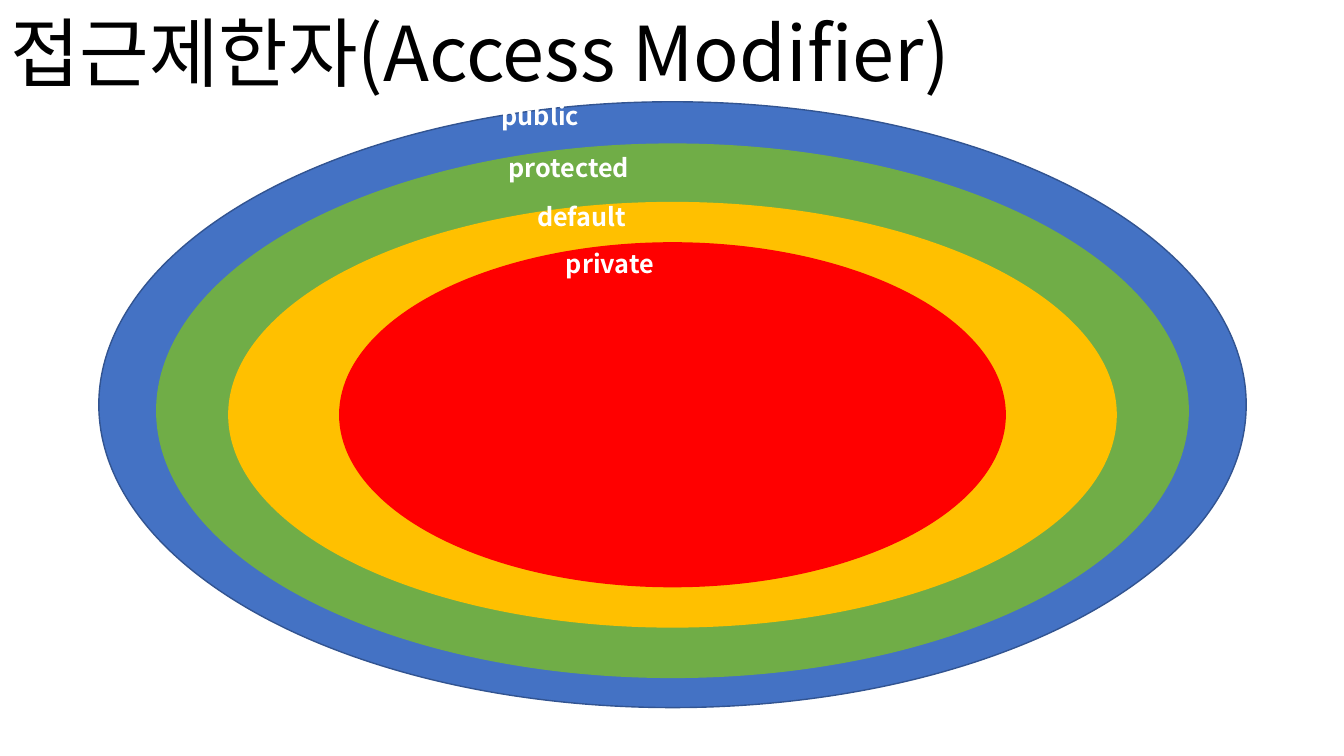
from dataclasses import dataclass

from lxml import etree
from pptx import Presentation
from pptx.dml.color import RGBColor
from pptx.enum import shapes, text
from pptx.oxml import ns
from pptx.util import Inches, Pt


@dataclass(frozen=True)
class Theme:
    font: str = "Noto Sans CJK KR"
    title_size: int = 54
    label_size: int = 18
    title_color: str = "000000"
    label_color: str = "FFFFFF"
    public: str = "4472C4"
    public_line: str = "325491"
    protected: str = "70AD47"
    default: str = "FFC000"
    private: str = "FF0000"


THEME = Theme()
CENTER_X = 6.67
LABEL_W, LABEL_H = 1.6, 0.36


def rgb(color):
    return RGBColor.from_string(color)


def style_text(tf, size, color, bold, align):
    tf.margin_top = tf.margin_bottom = 0
    tf.vertical_anchor = text.MSO_ANCHOR.MIDDLE
    p = tf.paragraphs[0]
    p.alignment = align
    p.line_spacing = 1.0
    r = p.runs[0]
    r.font.name = THEME.font
    r.font.size = Pt(size)
    r.font.bold = bold
    r.font.color.rgb = rgb(color)
    ea = etree.SubElement(r.font._element, ns.qn("a:ea"))
    ea.set("typeface", THEME.font)


def add_title(s, title):
    sp = s.shapes.title
    sp.left, sp.top = Inches(0), Inches(0)
    sp.width, sp.height = Inches(10.69), Inches(1.01)
    tf = sp.text_frame
    tf.text = title
    tf.word_wrap = True
    tf.auto_size = text.MSO_AUTO_SIZE.NONE
    style_text(tf, THEME.title_size, THEME.title_color, False, text.PP_ALIGN.LEFT)


def add_scope(s, top, width, height, fill, line):
    sp = s.shapes.add_shape(
        shapes.MSO_SHAPE.OVAL, Inches(CENTER_X - width / 2), Inches(top),
        Inches(width), Inches(height))
    sp.shadow.inherit = False
    sp.fill.solid()
    sp.fill.fore_color.rgb = rgb(fill)
    sp.line.color.rgb = rgb(line)
    sp.line.width = Pt(1)


def add_label(s, label, x, y):
    sp = s.shapes.add_textbox(
        Inches(x - LABEL_W / 2), Inches(y - LABEL_H / 2),
        Inches(LABEL_W), Inches(LABEL_H))
    tf = sp.text_frame
    tf.text = label
    tf.word_wrap = True
    style_text(tf, THEME.label_size, THEME.label_color, True, text.PP_ALIGN.CENTER)


def main():
    prs = Presentation()
    prs.slide_width, prs.slide_height = Inches(13.33), Inches(7.5)
    s = prs.slides.add_slide(prs.slide_layouts[5])
    add_title(s, "접근제한자(Access Modifier)")

    scopes = [
        ("public", 1.01, 11.38, 6.01, THEME.public, THEME.public_line, 5.36, 1.15),
        ("protected", 1.43, 10.23, 5.29, THEME.protected, THEME.protected, 5.64, 1.66),
        ("default", 2.01, 8.8, 4.21, THEME.default, THEME.default, 5.77, 2.15),
        ("private", 2.41, 6.6, 3.41, THEME.private, THEME.private, 6.05, 2.61),
    ]
    for label, top, width, height, fill, line, x, y in scopes:
        add_scope(s, top, width, height, fill, line)
        add_label(s, label, x, y)
    prs.save("out.pptx")


if __name__ == "__main__":
    main()
